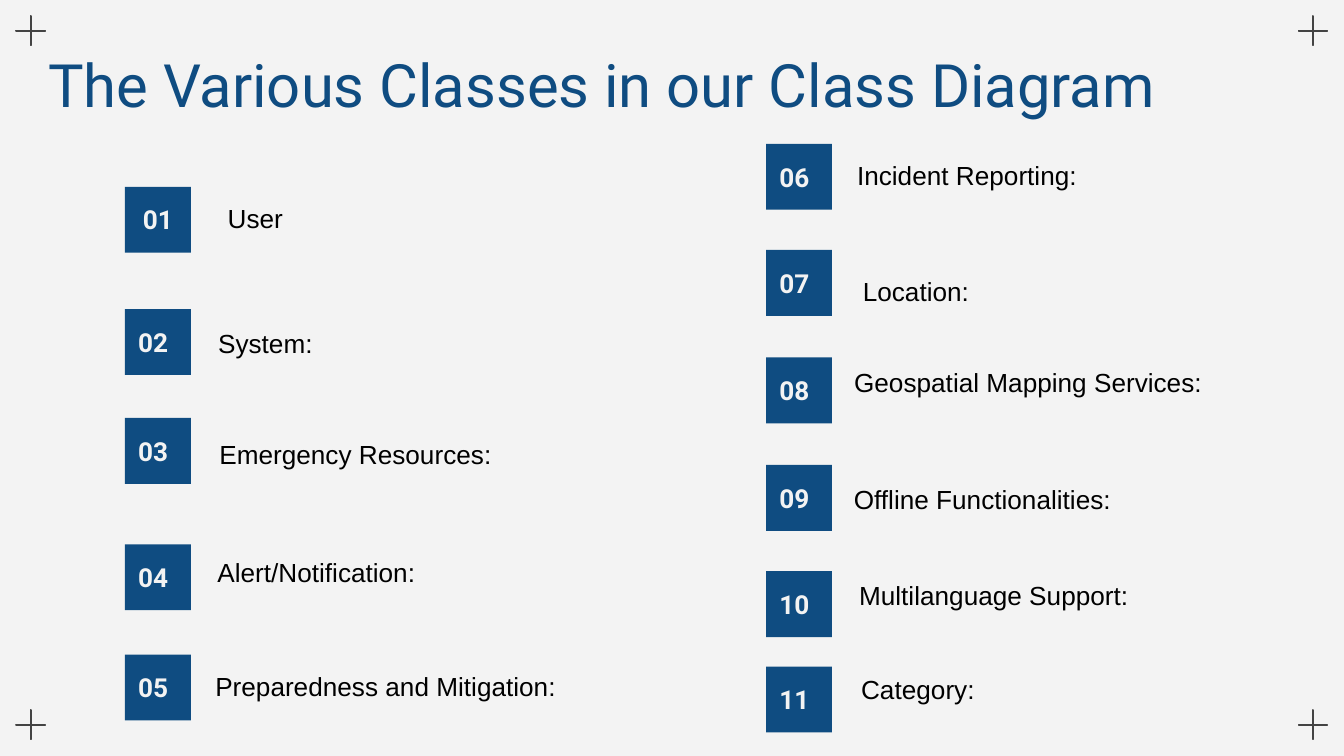
from itertools import product

from pptx import Presentation
from pptx.dml.color import RGBColor
from pptx.enum.shapes import MSO_SHAPE
from pptx.enum.text import MSO_ANCHOR, MSO_AUTO_SIZE, PP_ALIGN
from pptx.util import Inches, Pt

COLORS = {"background": "F3F3F3", "blue": "0F4C81", "text": "000000", "mark": "434343"}
WIDTH = 10
HEIGHT = WIDTH * 9 / 16
BADGE_SIZE = 0.49
LABEL_HEIGHT = 0.34

# Each row: badge top, label text, label left and top from the badge corner, label width
LEFT_CLASSES = [
    (1.39, "User", 0.39, 0.07, 1.16),
    (2.30, "System:", 0.25, 0.09, 1.59),
    (3.11, "Emergency Resources:", 0.49, 0.10, 2.45),
    (4.05, "Alert/Notification:", 0.29, 0.04, 2.27),
    (4.87, "Preparedness and Mitigation:", 0.57, 0.07, 2.74),
]
RIGHT_CLASSES = [
    (1.07, "Incident Reporting:", 0.39, 0.07, 2.21),
    (1.86, "Location:", 0.09, 0.14, 2.05),
    (2.66, "Geospatial Mapping Services:", 0.41, 0.02, 3.08),
    (3.46, "Offline Functionalities:", 0.50, 0.09, 2.22),
    (4.25, "Multilanguage Support:", 0.28, 0.01, 2.83),
    (4.96, "Category:", 0.41, 0, 1.44),
]


def rgb(name):
    return RGBColor.from_string(COLORS[name])


def add_text_box(page, left, top, width, height):
    return page.shapes.add_textbox(Inches(left), Inches(top), Inches(width), Inches(height))


def write(box, text, *, size=14, font="Arial", color="text", bold=False,
          align=PP_ALIGN.LEFT, anchor=MSO_ANCHOR.TOP, inset=0.1,
          line_spacing=None, space_after=None):
    frame = box.text_frame
    frame.word_wrap = True
    frame.vertical_anchor = anchor
    frame.margin_left = frame.margin_right = Inches(0.1)
    frame.margin_top = frame.margin_bottom = Inches(inset)
    para = frame.paragraphs[0]
    para.alignment = align
    para.line_spacing = line_spacing
    para.space_after = space_after
    span = para.add_run()
    span.text = text
    span.font.size = Pt(size)
    span.font.name = font
    span.font.bold = bold
    span.font.color.rgb = rgb(color)


def add_corner_marks(page, margin=0.08, size=0.3):
    tops = (margin, HEIGHT - margin - size)
    lefts = (margin, WIDTH - margin - size)
    for top, left in product(tops, lefts):
        mark = page.shapes.add_shape(MSO_SHAPE.MATH_PLUS, Inches(left), Inches(top),
                                     Inches(size), Inches(size))
        mark.adjustments[0] = 0.007
        mark.shadow.inherit = False
        mark.fill.background()
        mark.line.color.rgb = rgb("mark")
        mark.line.width = Pt(0.75)


def add_title(page, left, top, width, height):
    box = add_text_box(page, left, top, width, height)
    write(box, "The Various Classes in our Class Diagram", size=32, font="Roboto",
          color="blue", line_spacing=1.5)


def add_badge(page, left, top, number):
    """Draw a numbered square; the first number sits centred in its own text box."""
    badge = page.shapes.add_shape(MSO_SHAPE.RECTANGLE, Inches(left), Inches(top),
                                  Inches(BADGE_SIZE), Inches(BADGE_SIZE))
    badge.shadow.inherit = False
    badge.fill.solid()
    badge.fill.fore_color.rgb = rgb("blue")
    badge.line.fill.background()
    holder, align = badge, PP_ALIGN.LEFT
    if number == 1:
        holder = add_text_box(page, left, top - 0.01, BADGE_SIZE, 0.5)
        align = PP_ALIGN.CENTER
    write(holder, f"{number:02d}", font="Roboto", color="background", bold=True,
          align=align, anchor=MSO_ANCHOR.MIDDLE)


def add_class_column(page, left, classes, first_number):
    for number, (top, name, label_x, label_y, width) in enumerate(classes, first_number):
        add_badge(page, left, top, number)
        label = add_text_box(page, left + label_x, top + label_y, width, LABEL_HEIGHT)
        write(label, name, align=PP_ALIGN.CENTER, inset=0.05, space_after=Pt(16))
        label.text_frame.auto_size = MSO_AUTO_SIZE.SHAPE_TO_FIT_TEXT


def main():
    deck = Presentation()
    deck.slide_width, deck.slide_height = Inches(WIDTH), Inches(HEIGHT)
    page = deck.slides.add_slide(deck.slide_layouts[6])
    page.background.fill.solid()
    page.background.fill.fore_color.rgb = rgb("background")
    add_corner_marks(page)
    add_title(page, 0.26, -0.01, 9.86, 0.9)
    add_class_column(page, 0.93, LEFT_CLASSES, 1)
    add_class_column(page, 5.7, RIGHT_CLASSES, len(LEFT_CLASSES) + 1)
    deck.save("out.pptx")


if __name__ == "__main__":
    main()
